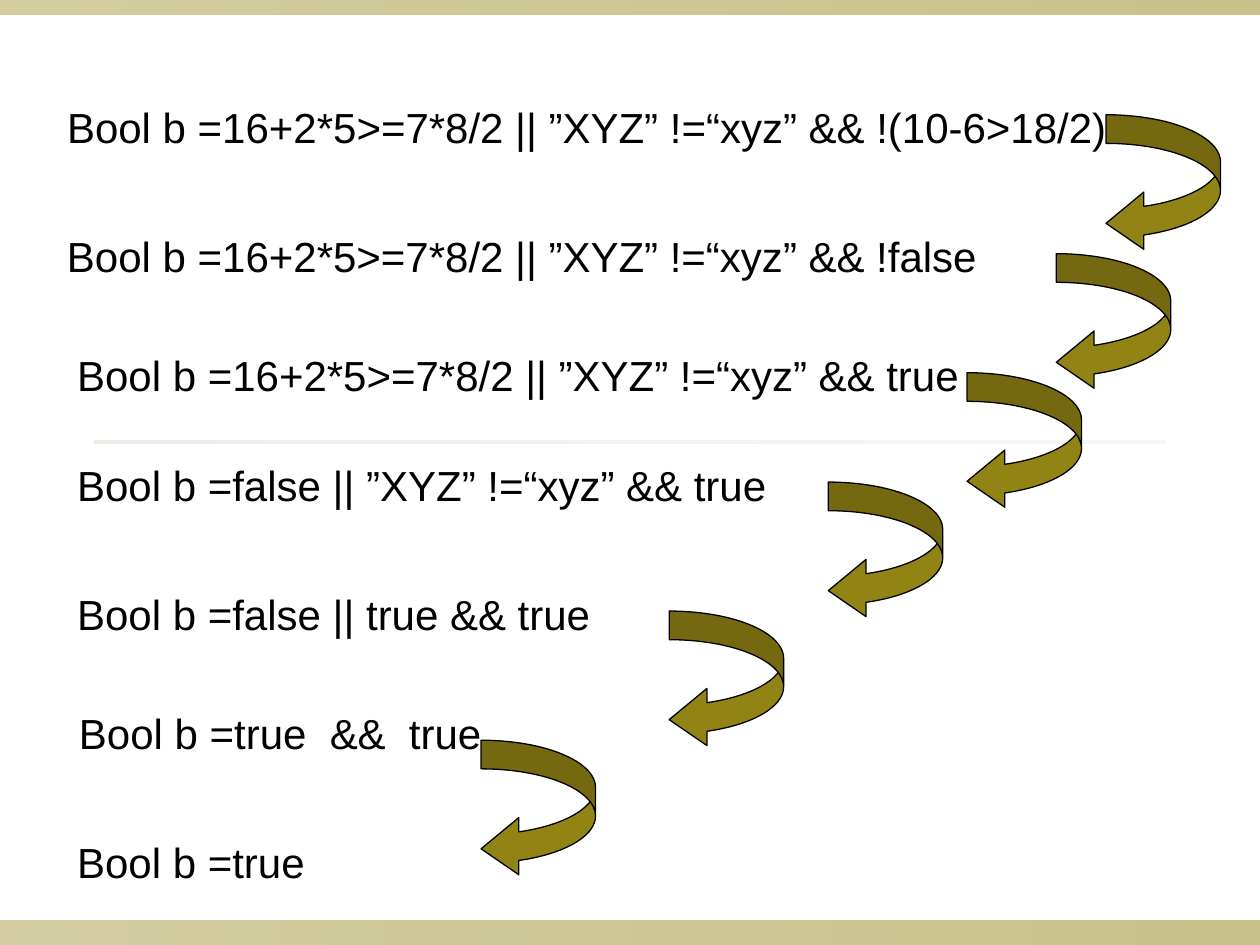
"""Build a slide that evaluates a Boolean expression step by step."""
from lxml import etree
from pptx import Presentation
from pptx.dml.color import RGBColor
from pptx.enum.shapes import MSO_SHAPE
from pptx.enum.text import MSO_AUTO_SIZE
from pptx.oxml.ns import qn
from pptx.util import Pt

RECT = MSO_SHAPE.RECTANGLE
CURVE = MSO_SHAPE.CURVED_LEFT_ARROW
FIT = MSO_AUTO_SIZE.SHAPE_TO_FIT_TEXT
OLIVE = RGBColor(0x91, 0x84, 0x15)
SAND = RGBColor(0xDC, 0xD9, 0xCC)
BLACK = RGBColor(0, 0, 0)

WIDE, HIGH = 720, 540
BANDS = [
    ((0, 525.8, WIDE, 14.2), OLIVE, (40, 50)),
    ((0, 0, WIDE, 8.4), OLIVE, (40, 50)),
    ((54, 251.8, 612, 1.4), SAND, (50, 20)),
]
STEPS = [
    ("Bool b =16+2*5>=7*8/2 || ”XYZ” !=“xyz” && !(10-6>18/2)", 31.2, 54.6, 614),
    ("Bool b =16+2*5>=7*8/2 || ”XYZ” !=“xyz” && !false", 31.2, 128, 540),
    ("Bool b =16+2*5>=7*8/2 || ”XYZ” !=“xyz” && true", 37, 196.2, 524),
    ("Bool b =false || ”XYZ” !=“xyz” && true", 37, 258.8, 414),
    ("Bool b =false || true && true", 37, 332.5, 313),
    ("Bool b =true  &&  true", 38, 400.5, 250),
    ("Bool b =true", 37, 474.5, 150),
]
TURNS = [(632, 65.6), (603.6, 145), (552.6, 213), (473.3, 275.5),
         (382.4, 349.2), (274.9, 423)]
ROW, TURN = 36, (65.4, 78.4)
HEAD = 0.33
FONT = {"name": "Arial", "size": Pt(24)}
FRAME = {
    "word_wrap": True, "auto_size": FIT,
    "margin_left": Pt(7.2), "margin_right": Pt(7.2),
    "margin_top": Pt(3.6), "margin_bottom": Pt(3.6),
}


def assign(item, props):
    for key, val in props.items():
        setattr(item, key, val)


def add_shape(slide, kind, box):
    shape = slide.shapes.add_shape(kind, *map(Pt, box))
    shape.shadow.inherit = False
    return shape


def add_band(slide, box, tint, alphas):
    band = add_shape(slide, RECT, box)
    band.line.fill.background()
    band.fill.gradient()
    band.fill.gradient_angle = 0
    for stop in band.fill.gradient_stops:
        stop.color.rgb = tint
    tints = band.element.iter(qn("a:srgbClr"))
    for node, alpha in zip(tints, alphas):
        etree.SubElement(node, qn("a:alpha"), val=str(alpha * 1000))


def add_step(slide, text, left, top, width):
    box = slide.shapes.add_textbox(Pt(left), Pt(top), Pt(width), Pt(ROW))
    assign(box.text_frame, FRAME)
    run = box.text_frame.paragraphs[0].add_run()
    run.text = text
    assign(run.font, FONT)
    run.font.color.rgb = BLACK


def add_turn(slide, left, top):
    turn = add_shape(slide, CURVE, (left, top, *TURN))
    turn.adjustments[2] = HEAD
    turn.fill.solid()
    turn.fill.fore_color.rgb = OLIVE
    turn.line.color.rgb = BLACK
    turn.line.width = Pt(0.75)


def main():
    deck = Presentation()
    deck.slide_width, deck.slide_height = Pt(WIDE), Pt(HIGH)
    slide = deck.slides.add_slide(deck.slide_layouts[6])
    for band in BANDS:
        add_band(slide, *band)
    for step in STEPS:
        add_step(slide, *step)
    for turn in TURNS:
        add_turn(slide, *turn)
    deck.save("out.pptx")


if __name__ == "__main__":
    main()
